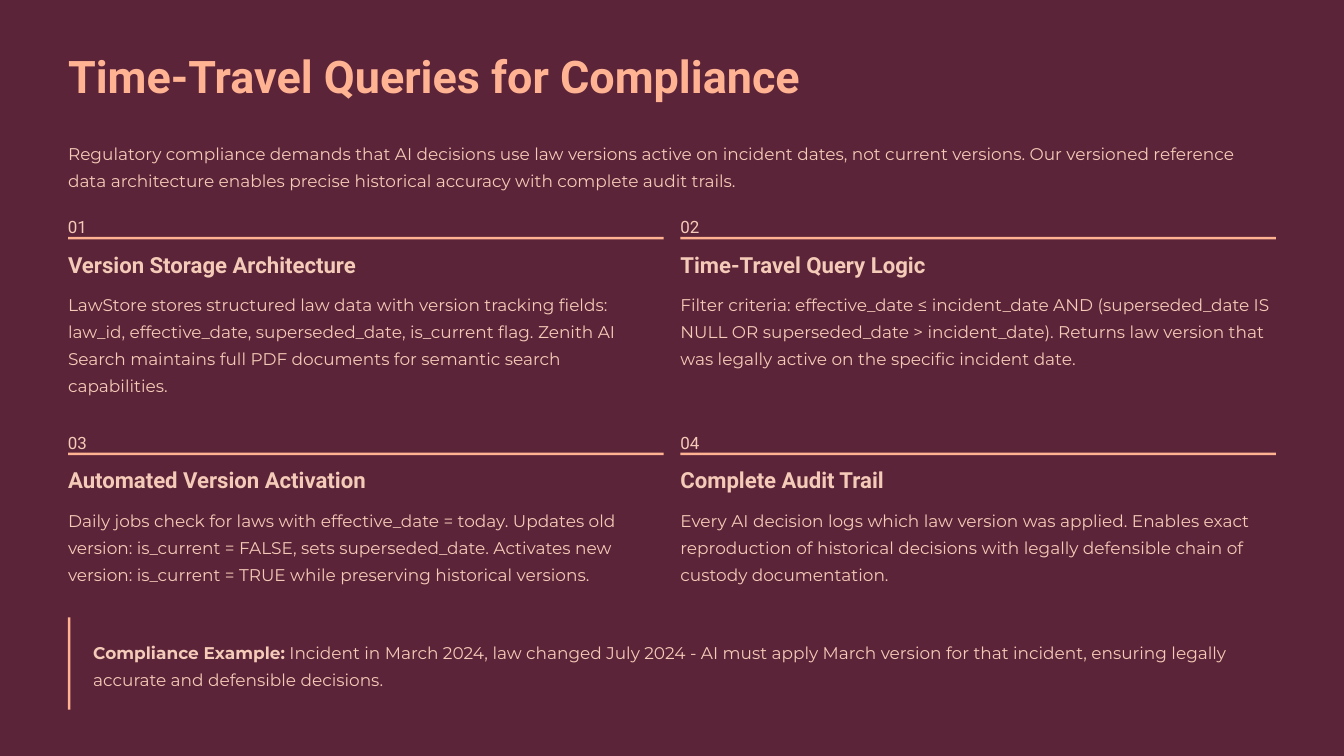
from pptx import Presentation
from pptx.dml.color import RGBColor
from pptx.enum.shapes import MSO_SHAPE
from pptx.util import Inches, Pt

RECTANGLE = MSO_SHAPE.RECTANGLE
PLUM, PEACH, BLUSH = "5C2438", "FFB393", "F4CAB8"
HEADING_FONT, BODY_FONT = "Roboto", "Montserrat"
MARGIN, CONTENT_WIDTH = 0.81, 14.39
CARD_WIDTH, CARD_HEIGHT = 7.09, 2.22
COLUMN_STEP, ROW_STEP, CARDS_TOP = 7.29, 2.57, 2.5
RULE_THICKNESS = 0.03

INTRO = (
    "Regulatory compliance demands that AI decisions use law versions active on "
    "incident dates, not current versions. Our versioned reference data architecture "
    "enables precise historical accuracy with complete audit trails."
)
CARDS = [
    ("Version Storage Architecture",
     "LawStore stores structured law data with version tracking fields: law_id, "
     "effective_date, superseded_date, is_current flag. Zenith AI Search maintains "
     "full PDF documents for semantic search capabilities."),
    ("Time-Travel Query Logic",
     "Filter criteria: effective_date ≤ incident_date AND (superseded_date IS NULL OR "
     "superseded_date > incident_date). Returns law version that was legally active "
     "on the specific incident date."),
    ("Automated Version Activation",
     "Daily jobs check for laws with effective_date = today. Updates old version: "
     "is_current = FALSE, sets superseded_date. Activates new version: "
     "is_current = TRUE while preserving historical versions."),
    ("Complete Audit Trail",
     "Every AI decision logs which law version was applied. Enables exact reproduction "
     "of historical decisions with legally defensible chain of custody documentation."),
]
EXAMPLE_LABEL = "Compliance Example:"
EXAMPLE = (
    " Incident in March 2024, law changed July 2024 - AI must apply March version for "
    "that incident, ensuring legally accurate and defensible decisions."
)


def rgb(value):
    return RGBColor.from_string(value)


def add_text(page, left, top, width, height, text, size=14.5, font=BODY_FONT,
             color=BLUSH, bold=False, spacing=23):
    box = page.shapes.add_textbox(Inches(left), Inches(top), Inches(width), Inches(height))
    frame = box.text_frame
    frame.word_wrap = True
    frame.margin_left = frame.margin_top = frame.margin_right = frame.margin_bottom = 0
    para = frame.paragraphs[0]
    para.line_spacing = Pt(spacing)
    para.font.name = font
    para.font.size = Pt(size)
    para.font.color.rgb = rgb(color)
    if bold:
        para.font.bold = True
    para.add_run().text = text
    return para


def add_rule(page, left, top, width, height):
    rule = page.shapes.add_shape(
        RECTANGLE, Inches(left), Inches(top), Inches(width), Inches(height))
    rule.shadow.inherit = False
    rule.fill.solid()
    rule.fill.fore_color.rgb = rgb(PEACH)
    rule.line.fill.background()


def add_header(page, left, top, width):
    add_text(page, left, top, width, 0.67, "Time-Travel Queries for Compliance",
             size=38.5, font=HEADING_FONT, color=PEACH, bold=True, spacing=48)
    add_text(page, left, top + 1.07, width, 0.65, INTRO)


def add_card(page, left, top, width, height, number, heading, body):
    add_text(page, left, top, 0.4, 0.25, f"{number:02d}", font=HEADING_FONT)
    add_rule(page, left, top + 0.32, width, RULE_THICKNESS)
    add_text(page, left, top + 0.47, width, 0.34, heading, size=19, font=HEADING_FONT,
             bold=True, spacing=24)
    add_text(page, left, top + 0.93, width, height - 0.93, body)


def add_example(page, left, top, width, height):
    para = add_text(page, left + 0.3, top + 0.22, width - 0.3, height - 0.45, EXAMPLE_LABEL)
    para.runs[0].font.bold = True
    para.add_run().text = EXAMPLE
    add_rule(page, left, top, RULE_THICKNESS, height)


def main():
    deck = Presentation()
    deck.slide_width, deck.slide_height = Inches(16), Inches(9)
    page = deck.slides.add_slide(deck.slide_layouts[6])
    page.background.fill.solid()
    page.background.fill.fore_color.rgb = rgb(PLUM)
    add_header(page, MARGIN, 0.56, CONTENT_WIDTH)
    for index, (heading, body) in enumerate(CARDS):
        row, column = divmod(index, 2)
        add_card(page, MARGIN + column * COLUMN_STEP, CARDS_TOP + row * ROW_STEP,
                 CARD_WIDTH, CARD_HEIGHT, index + 1, heading, body)
    add_example(page, MARGIN, 7.35, CONTENT_WIDTH, 1.1)
    deck.save("out.pptx")


if __name__ == "__main__":
    main()
